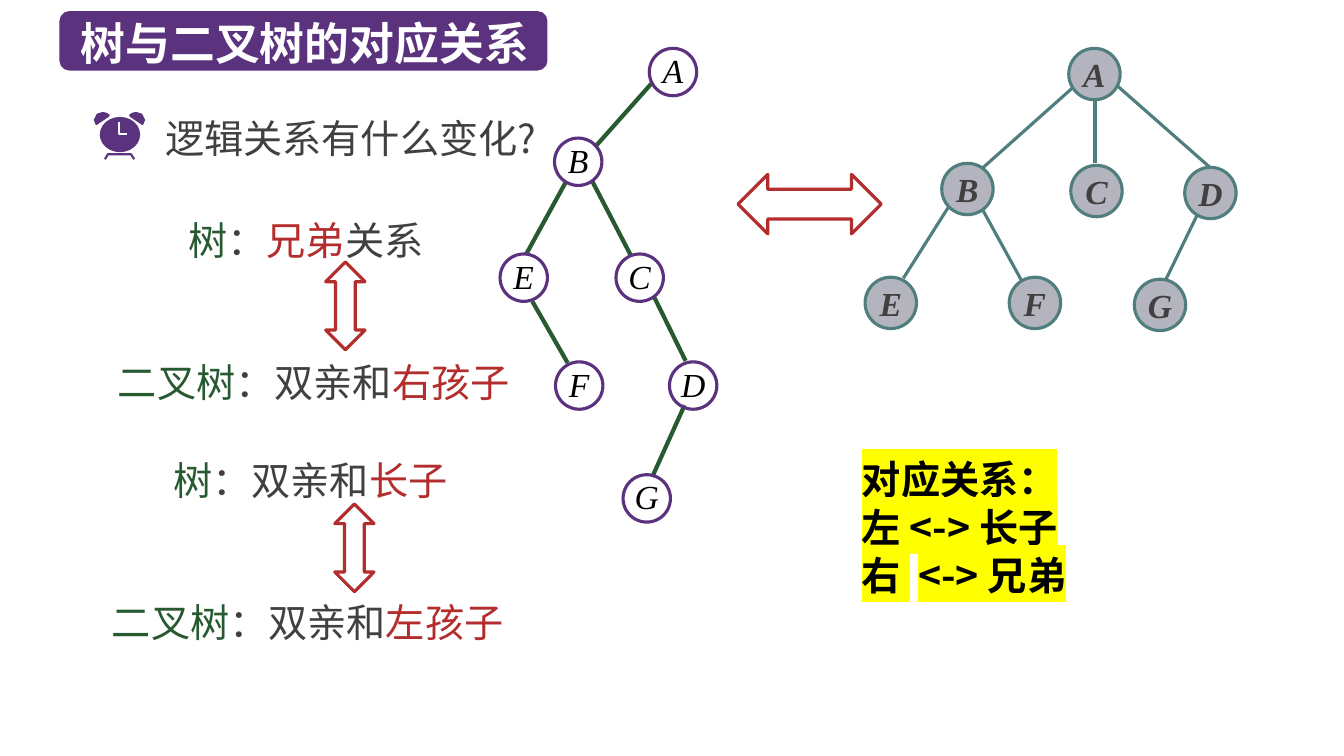
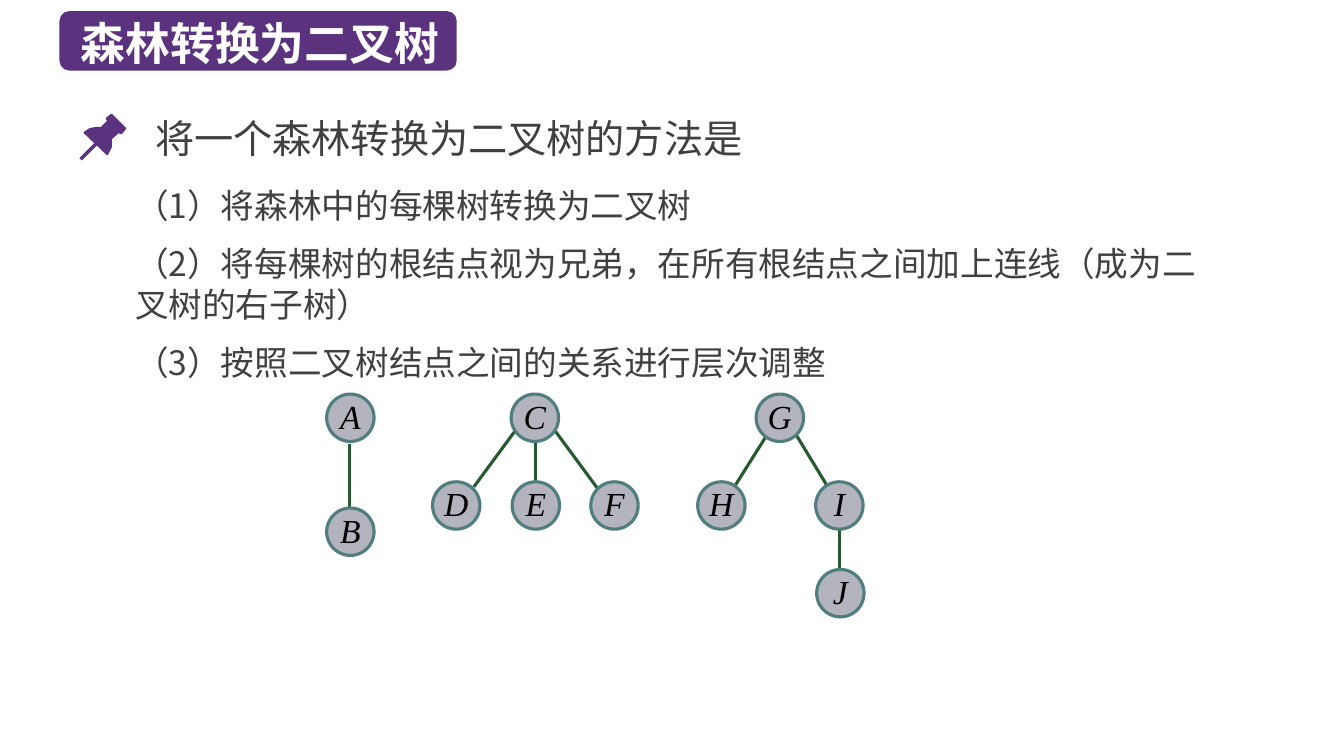
from dataclasses import dataclass
from typing import Any

from lxml.etree import SubElement as Sub
from pptx import Presentation
from pptx.dml.color import RGBColor
from pptx.enum.shapes import MSO_CONNECTOR as Wire, MSO_SHAPE as Form
from pptx.enum.text import MSO_ANCHOR as Anchor, MSO_AUTO_SIZE as Auto, PP_ALIGN as Align
from pptx.oxml.ns import qn
from pptx.util import Inches, Pt

SANS, SERIF = "Noto Sans CJK SC", "Times New Roman"
PURPLE, GREEN, RED, GREY = "5A327D", "285A32", "B42D2D", "404040"
TEAL, SILVER, BLACK, WHITE, YELLOW = "507D7D", "B4B4BE", "000000", "FFFFFF", "FFFF00"
PITCH = 1.22

Point = tuple[float, float]
Box = tuple[float, float, float, float]


@dataclass(frozen=True)
class Run:
    text: str
    tint: str = GREY
    gap: int = 0


@dataclass(frozen=True)
class Line:
    runs: tuple[Run, ...]
    left: float = 0
    above: float = 0


@dataclass(frozen=True)
class Look:
    size: float
    fill: str | None
    edge: str
    tint: str
    bold: bool
    pad: float
    pitch: float
    link: str
    width: float


@dataclass(frozen=True)
class Tree:
    look: Look
    nodes: dict[str, Point]
    links: tuple[Box, ...]


@dataclass(frozen=True)
class Block:
    box: Box
    left: float
    above: tuple[Run, ...]
    below: tuple[Run, ...]
    arrow: Box


PLAIN = Look(0.47, None, PURPLE, BLACK, False, 0, 25, GREEN, 3)
BOLD = Look(0.51, SILVER, TEAL, GREY, True, 0.02, 26, TEAL, 2.25)
SOLID = Look(0.47, SILVER, TEAL, BLACK, False, 0, 25, GREEN, 2.25)

PAIR = (
    Tree(
        BOLD,
        {"A": (10.6, 0.48), "B": (9.34, 1.62), "C": (10.62, 1.64), "D": (11.75, 1.66),
         "E": (8.58, 2.75), "F": (10.01, 2.75), "G": (11.25, 2.77)},
        ((10.64, 0.87, 9.72, 1.69), (10.86, 0.97, 10.86, 1.62), (11.08, 0.85, 12, 1.66),
         (9.41, 2.05, 8.96, 2.76), (9.74, 2.07, 10.13, 2.78), (11.88, 2.12, 11.56, 2.78)),
    ),
    Tree(
        PLAIN,
        {"A": (6.44, 0.48), "B": (5.5, 1.37), "C": (6.11, 2.52), "D": (6.64, 3.59),
         "E": (4.96, 2.52), "F": (5.51, 3.59), "G": (6.18, 4.71)},
        ((6.46, 0.83, 5.9, 1.46), (5.61, 1.81, 5.22, 2.52), (5.87, 1.79, 6.26, 2.54),
         (5.28, 2.99, 5.63, 3.6), (6.49, 2.95, 6.8, 3.58), (6.79, 4.02, 6.47, 4.73)),
    ),
)
WOOD = (
    Tree(SOLID, {"A": (3.24, 3.91), "B": (3.24, 5.04)}, ((3.47, 4.4, 3.47, 5.07),)),
    Tree(
        SOLID,
        {"C": (5.07, 3.91), "D": (4.29, 4.78), "E": (5.08, 4.78), "F": (5.86, 4.78)},
        ((5.12, 4.26, 4.7, 4.83), (5.31, 4.38, 5.31, 4.78), (5.51, 4.28, 5.93, 4.85)),
    ),
    Tree(
        SOLID,
        {"G": (7.5, 3.91), "H": (6.92, 4.78), "I": (8.09, 4.78), "J": (8.1, 5.65)},
        ((7.61, 4.31, 7.29, 4.82), (7.9, 4.32, 8.21, 4.83), (8.33, 5.25, 8.33, 5.64)),
    ),
)
BLOCKS = (
    Block((1.17, 2.09, 4.31, 1.99), 0.7,
          (Run("树", GREEN), Run("："), Run("兄弟", RED), Run("关系")),
          (Run("二叉树", GREEN), Run("：双亲和"), Run("右孩子", RED)),
          (2.99, 2.84, 0.87, 0.39)),
    Block((1.11, 4.47, 5.43, 1.99), 0.61,
          (Run("树", GREEN), Run("：双亲和"), Run("长子", RED)),
          (Run("二叉树", GREEN), Run("：双亲和"), Run("左孩子", RED)),
          (3.08, 5.24, 0.87, 0.39)),
)
RULE = (
    Line((Run("对应关系：", BLACK),)),
    Line((Run("左 <-> 长子", BLACK),)),
    Line((Run("右", BLACK), Run(" ", BLACK, 600), Run("<-> 兄弟", BLACK))),
)
STEPS = (
    "（1）将森林中的每棵树转换为二叉树",
    "（2）将每棵树的根结点视为兄弟，在所有根结点之间加上连线（成为二叉树的右子树）",
    "（3）按照二叉树结点之间的关系进行层次调整",
)
BELL = ((1.02, 1.11), (0.96, 1.13), (0.93, 1.19), (0.95, 1.24), (0.96, 1.24),
        (1.08, 1.16), (1.09, 1.14), (1.06, 1.12))
HANDS = ((1.18, 1.21), (1.18, 1.33), (1.26, 1.33))
LEGS = ((1.04, 1.58), (1.07, 1.53), (1.3, 1.53), (1.33, 1.58))
PIN = ((1.25, 1.27), (1.11, 1.13), (1.1, 1.13), (1.05, 1.17), (1.05, 1.18), (1.06, 1.2),
       (1, 1.26), (0.95, 1.26), (0.89, 1.27), (0.83, 1.31), (0.83, 1.32), (1.06, 1.54),
       (1.07, 1.54), (1.11, 1.46), (1.11, 1.38), (1.18, 1.32), (1.19, 1.33), (1.21, 1.33),
       (1.25, 1.28))
NEEDLE = ((0.8, 1.58), (0.95, 1.43))


def hue(code: str) -> RGBColor:
    return RGBColor.from_string(code)


def apply(item: Any, values: dict[str, Any]) -> None:
    for name, value in values.items():
        setattr(item, name, value)


def place(item: Any, box: Box) -> None:
    apply(item, dict(zip(("left", "top", "width", "height"), map(Inches, box))))


def paint(shape: Any, fill: str | None = None, edge: str | None = None, width: float = 2.25) -> None:
    shape.shadow.inherit = False
    if fill:
        shape.fill.solid()
        shape.fill.fore_color.rgb = hue(fill)
    else:
        shape.fill.background()
    if edge:
        shape.line.color.rgb = hue(edge)
        shape.line.width = Pt(width)
    else:
        shape.line.fill.background()


def ink(run: Any, tint: str, values: dict[str, Any], mark: str | None = None, gap: int = 0) -> None:
    apply(run.font, values)
    run.font.color.rgb = hue(tint)
    props = run._r.get_or_add_rPr()
    latin = props.find(qn("a:latin"))
    east = Sub(props, qn("a:ea"))
    east.set("typeface", values["name"])
    latin.addnext(east)
    if mark:
        glow = Sub(props, qn("a:highlight"))
        Sub(glow, qn("a:srgbClr")).set("val", mark)
        latin.addprevious(glow)
    if gap:
        props.set("spc", str(gap))


def write(shape: Any, lines: tuple[Line, ...], size: float, bold: bool = False,
          mark: str | None = None, side: float = 0.1) -> None:
    frame = shape.text_frame
    apply(frame, {"word_wrap": True, "auto_size": Auto.NONE, "vertical_anchor": Anchor.TOP,
                  "margin_left": Inches(side), "margin_right": Inches(side),
                  "margin_top": Inches(0.05), "margin_bottom": Inches(0.05)})
    for index, line in enumerate(lines):
        para = frame.add_paragraph() if index else frame.paragraphs[0]
        props = para._p.get_or_add_pPr()
        props.set("marL", str(Inches(line.left)))
        props.set("indent", "0")
        Sub(props, qn("a:buNone"))
        apply(para, {"alignment": Align.LEFT, "line_spacing": Pt(round(size * PITCH, 1)),
                     "space_before": Pt(line.above), "space_after": Pt(0)})
        for part in line.runs:
            run = para.add_run()
            run.text = part.text
            ink(run, part.tint, {"name": SANS, "size": Pt(size), "bold": bold}, mark, part.gap)


def label(slide: Any, box: Box, lines: tuple[Line, ...], size: float = 28, **style: Any) -> None:
    write(slide.shapes.add_textbox(*map(Inches, box)), lines, size, **style)


def form(slide: Any, kind: Form, box: Box, fill: str | None = None,
         edge: str | None = None) -> Any:
    shape = slide.shapes.add_shape(kind, *map(Inches, box))
    paint(shape, fill, edge)
    return shape


def trace(slide: Any, points: tuple[Point, ...], fill: str | None = None,
          edge: str | None = None, width: float = 2) -> None:
    dots = [(Inches(x), Inches(y)) for x, y in points]
    pen = slide.shapes.build_freeform(*dots[0], scale=1.0)
    pen.add_line_segments(dots[1:], close=fill is not None)
    paint(pen.convert_to_shape(), fill, edge, width)


def plant(slide: Any, tree: Tree) -> None:
    look = tree.look
    for ends in tree.links:
        wire = slide.shapes.add_connector(Wire.STRAIGHT, *map(Inches, ends))
        wire.line.color.rgb = hue(look.link)
        wire.line.width = Pt(look.width)
        Sub(wire._element.spPr, qn("a:effectLst"))
    for name, (x, y) in tree.nodes.items():
        node = form(slide, Form.OVAL, (x, y, look.size, look.size), look.fill, look.edge)
        side = Inches(look.pad * 2)
        apply(node.text_frame, {"margin_left": side, "margin_right": side,
                                "margin_top": Inches(look.pad), "margin_bottom": side,
                                "vertical_anchor": Anchor.TOP})
        para = node.text_frame.paragraphs[0]
        apply(para, {"alignment": Align.CENTER, "line_spacing": Pt(look.pitch)})
        run = para.add_run()
        run.text = name
        ink(run, look.tint, {"name": SERIF, "size": Pt(24), "bold": look.bold, "italic": True})


def start(deck: Any, layout: int, text: str, width: float) -> Any:
    slide = deck.slides.add_slide(deck.slide_layouts[layout])
    band = form(slide, Form.ROUNDED_RECTANGLE, (0.59, 0.11, width, 0.59), PURPLE)
    title = slide.shapes.title
    title._element.addprevious(band._element)
    place(title, (0.7, 0.1, width + 0.33, 0.64))
    write(title, (Line((Run(text, WHITE),)),), 32, bold=True)
    return slide


def clock(slide: Any) -> None:
    trace(slide, LEGS, edge=PURPLE, width=1.5)
    for bell in (BELL, tuple((2.37 - x, y) for x, y in BELL)):
        trace(slide, bell, PURPLE)
    form(slide, Form.OVAL, (0.99, 1.16, 0.4, 0.35), PURPLE)
    trace(slide, HANDS, edge=WHITE)


def match(deck: Any) -> None:
    slide = start(deck, 5, "树与二叉树的对应关系", 4.84)
    label(slide, (1.54, 1.08, 9.76, 0.57), (Line((Run("逻辑关系有什么变化?"),)),))
    clock(slide)
    for block in BLOCKS:
        lines = (Line(block.above, block.left), Line(block.below, above=67))
        label(slide, block.box, lines, side=0)
        form(slide, Form.LEFT_RIGHT_ARROW, block.arrow, edge=RED).rotation = 90
    for tree in PAIR:
        plant(slide, tree)
    form(slide, Form.LEFT_RIGHT_ARROW, (7.32, 1.73, 1.42, 0.59), edge=RED)
    label(slide, (8.45, 4.46, 3.7, 1.51), RULE, bold=True, mark=YELLOW)


def forest(deck: Any) -> None:
    slide = start(deck, 1, "森林转换为二叉树", 3.94)
    body = slide.placeholders[1]
    place(body, (1.24, 1.78, 11.05, 2.12))
    write(body, tuple(Line((Run(step),), above=12 if index else 0)
                      for index, step in enumerate(STEPS)), 24)
    label(slide, (1.44, 1.08, 6.09, 0.57), (Line((Run("将一个森林转换为二叉树的方法是"),)),))
    trace(slide, PIN, PURPLE)
    trace(slide, NEEDLE, edge=PURPLE, width=2.5)
    for tree in WOOD:
        plant(slide, tree)


def main() -> None:
    deck = Presentation()
    apply(deck, {"slide_width": Inches(13.33), "slide_height": Inches(7.5)})
    match(deck)
    forest(deck)
    deck.save("out.pptx")


if __name__ == "__main__":
    main()
